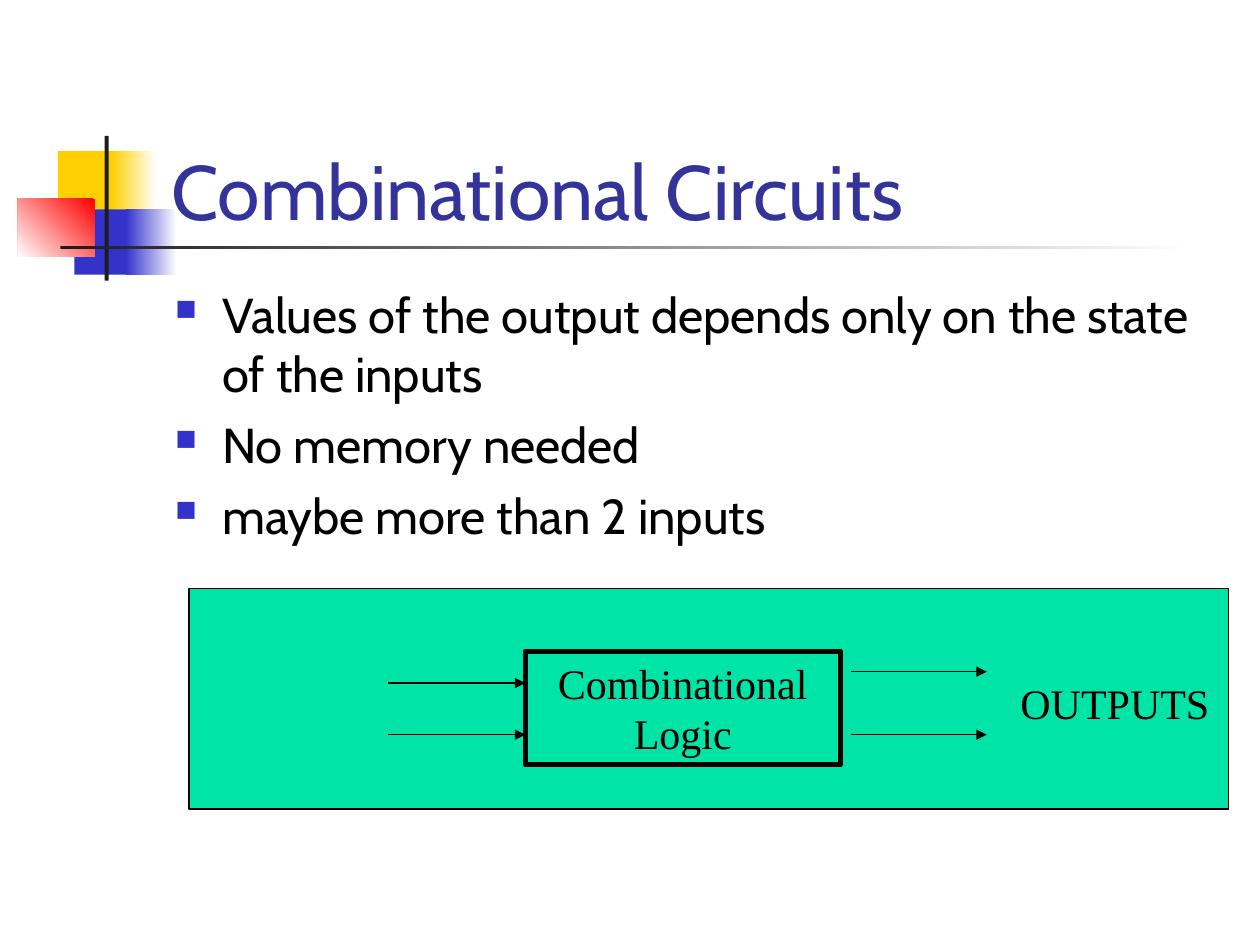
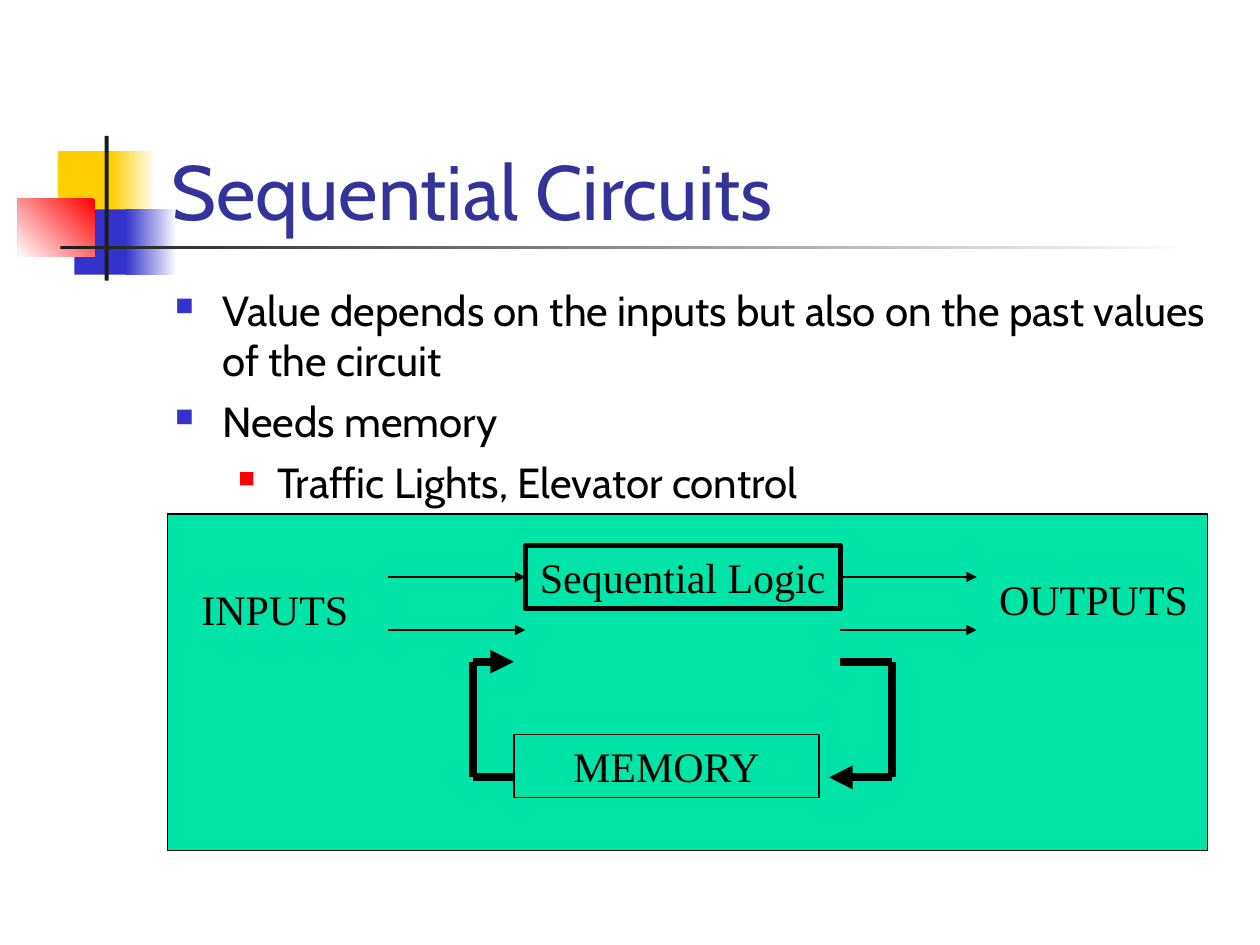
from itertools import pairwise

from lxml import etree
from pptx import Presentation
from pptx.dml.color import RGBColor
from pptx.enum.shapes import MSO_CONNECTOR, MSO_SHAPE
from pptx.enum.text import MSO_ANCHOR, MSO_AUTO_SIZE, PP_ALIGN
from pptx.oxml.ns import qn
from pptx.util import Cm, Pt

RECTANGLE = MSO_SHAPE.RECTANGLE
STRAIGHT = MSO_CONNECTOR.STRAIGHT
LEFT, CENTER = PP_ALIGN.LEFT, PP_ALIGN.CENTER
TOP, BOTTOM = MSO_ANCHOR.TOP, MSO_ANCHOR.BOTTOM

COLORS = {
    "title": "333399", "text": "000000", "white": "FFFFFF", "panel": "00E4A8",
    "yellow": "FFCF01", "blue": "3333CC", "red": "FF0000", "dark": "1C1C1C",
}
TITLE_FONT = BODY_FONT = "Cabin"
DIAGRAM_FONT = "Times New Roman"
THIN, THICK, HEAVY = 0.75, 3, 4.5

# All places are in centimetres: left, top, width, height.
TITLE_AREA = (3.2, 1.7, 21.64, 3.18)
BODY_AREA = (3.28, 5.61, 21.59, 11.43)

# Area, colour, and the angle along which it fades to white (None: solid)
ORNAMENT = [
    ((1.17, 3.05, 1.22, 1.32), "yellow", None),
    ((2.24, 3.05, 0.91, 1.32), "yellow", 0),
    ((1.5, 4.22, 1.17, 1.32), "blue", None),
    ((2.54, 4.22, 1.02, 1.32), "blue", 0),
    ((0.36, 4.01, 1.55, 1.17), "red", 225),
    ((2.11, 2.74, 0.08, 2.92), "dark", None),
    ((1.22, 4.95, 22.86, 0.08), "dark", 0),
]

# Per level: bullet colour, bullet size in percent, text indent, hanging indent
BULLET_LEVELS = [("blue", 60, 0.95, 0.95), ("red", 55, 2.06, 0.79)]

INPUT_SPAN = (7.82, 10.59)

SLIDES = [
    {
        "title": "Combinational Circuits",
        "size": 28,
        "space": 7,
        "bullets": [
            (0, "Values of the output depends only on the state of the inputs"),
            (0, "No memory needed"),
            (0, "maybe more than 2 inputs"),
        ],
        "panel": (3.81, 11.86, 20.96, 4.45),
        "blocks": [("Combinational Logic", (10.59, 13.13, 6.35, 2.29), THICK)],
        "labels": [("OUTPUTS", (20.32, 13.54, 4.45, 1.27))],
        "signals": [(INPUT_SPAN, (13.77, 14.81)),
                    ((17.15, 19.89), (13.54, 14.81))],
        "feedback": [],
    },
    {
        "title": "Sequential Circuits",
        "size": 24,
        "space": 6,
        "bullets": [
            (0, "Value depends on the inputs but also on the past values of the circuit"),
            (0, "Needs memory"),
            (1, "Traffic Lights, Elevator control"),
        ],
        "panel": (3.38, 10.36, 20.96, 6.78),
        "blocks": [("Sequential Logic", (10.59, 11, 6.35, 1.27), THICK),
                   ("MEMORY", (10.36, 14.81, 6.15, 1.27), THIN)],
        "labels": [("OUTPUTS", (19.89, 11.43, 4.45, 1.27)),
                   ("INPUTS", (3.81, 11.63, 3.81, 1.27))],
        "signals": [(INPUT_SPAN, (11.63, 12.7)),
                    ((16.94, 19.69), (11.63, 12.7))],
        "feedback": [
            [(16.94, 13.34), (17.98, 13.34), (17.98, 15.67), (16.71, 15.67)],
            [(10.36, 15.67), (9.53, 15.67), (9.53, 13.34), (10.36, 13.34)],
        ],
    },
]


def rgb(name):
    return RGBColor.from_string(COLORS[name])


def in_cm(values):
    return [Cm(value) for value in values]


def set_bullet(paragraph, level):
    color, percent, indent, hanging = BULLET_LEVELS[level]
    paragraph.level = level
    properties = paragraph._p.get_or_add_pPr()
    properties.set("marL", str(Cm(indent)))
    properties.set("indent", str(-Cm(hanging)))
    bullet_color = etree.SubElement(properties, qn("a:buClr"))
    etree.SubElement(bullet_color, qn("a:srgbClr"), val=COLORS[color])
    etree.SubElement(properties, qn("a:buSzPct"), val=str(percent * 1000))
    etree.SubElement(properties, qn("a:buChar"), char="■")


def write_text(shape, paragraphs, *, font, size, color="text", align=LEFT,
               anchor=TOP, space=0):
    """Fill a shape with (level, text) pairs; level None means no bullet."""
    frame = shape.text_frame
    frame.word_wrap = True
    frame.auto_size = MSO_AUTO_SIZE.NONE
    frame.vertical_anchor = anchor
    for index, (level, text) in enumerate(paragraphs):
        paragraph = frame.add_paragraph() if index else frame.paragraphs[0]
        paragraph.text = text
        paragraph.alignment = align
        paragraph.space_before = Pt(space if index else 0)
        if level is not None:
            set_bullet(paragraph, level)
        paragraph.font.name = font
        paragraph.font.size = Pt(size)
        paragraph.font.color.rgb = rgb(color)


def add_box(slide, area, fill=None, fade_angle=None, line_width=None):
    box = slide.shapes.add_shape(RECTANGLE, *in_cm(area))
    box.shadow.inherit = False
    if fill is None:
        box.fill.background()
    elif fade_angle is None:
        box.fill.solid()
        box.fill.fore_color.rgb = rgb(fill)
    else:
        box.fill.gradient()
        box.fill.gradient_angle = fade_angle
        for stop, name in zip(box.fill.gradient_stops, (fill, "white")):
            stop.color.rgb = rgb(name)
    if line_width is None:
        box.line.fill.background()
    else:
        box.line.color.rgb = rgb("text")
        box.line.width = Pt(line_width)
    return box


def add_route(slide, points, width):
    """Join the points with straight lines and end in an arrowhead."""
    for start, end in pairwise(points):
        connector = slide.shapes.add_connector(STRAIGHT, *in_cm(start + end))
        connector.line.color.rgb = rgb("text")
        connector.line.width = Pt(width)
        properties = connector.element.spPr
        etree.SubElement(properties, qn("a:effectLst"))
    etree.SubElement(properties.find(qn("a:ln")), qn("a:tailEnd"), type="triangle")


def add_heading(slide, text):
    for area, color, fade_angle in ORNAMENT:
        add_box(slide, area, color, fade_angle)
    title = slide.shapes.title
    title.left, title.top, title.width, title.height = in_cm(TITLE_AREA)
    write_text(title, [(None, text)], font=TITLE_FONT, size=44, color="title",
               anchor=BOTTOM)
    title.element.getparent().append(title.element)  # in front of the ornament


def add_diagram(slide, content):
    add_box(slide, content["panel"], "panel", line_width=THIN)
    for text, area, line_width in content["blocks"]:
        block = add_box(slide, area, line_width=line_width)
        write_text(block, [(None, text)], font=DIAGRAM_FONT, size=24, align=CENTER)
    for text, area in content["labels"]:
        label = slide.shapes.add_textbox(*in_cm(area))
        write_text(label, [(None, text)], font=DIAGRAM_FONT, size=24)
    for (start, end), heights in content["signals"]:
        for height in heights:
            add_route(slide, [(start, height), (end, height)], THIN)
    for points in content["feedback"]:
        add_route(slide, points, HEAVY)


def main():
    presentation = Presentation()
    presentation.slide_width, presentation.slide_height = Cm(25.4), Cm(19.05)
    title_only = presentation.slide_layouts[5]
    for content in SLIDES:
        slide = presentation.slides.add_slide(title_only)
        add_heading(slide, content["title"])
        body = slide.shapes.add_textbox(*in_cm(BODY_AREA))
        write_text(body, content["bullets"], font=BODY_FONT,
                   size=content["size"], space=content["space"])
        add_diagram(slide, content)
    presentation.save("out.pptx")


if __name__ == "__main__":
    main()
